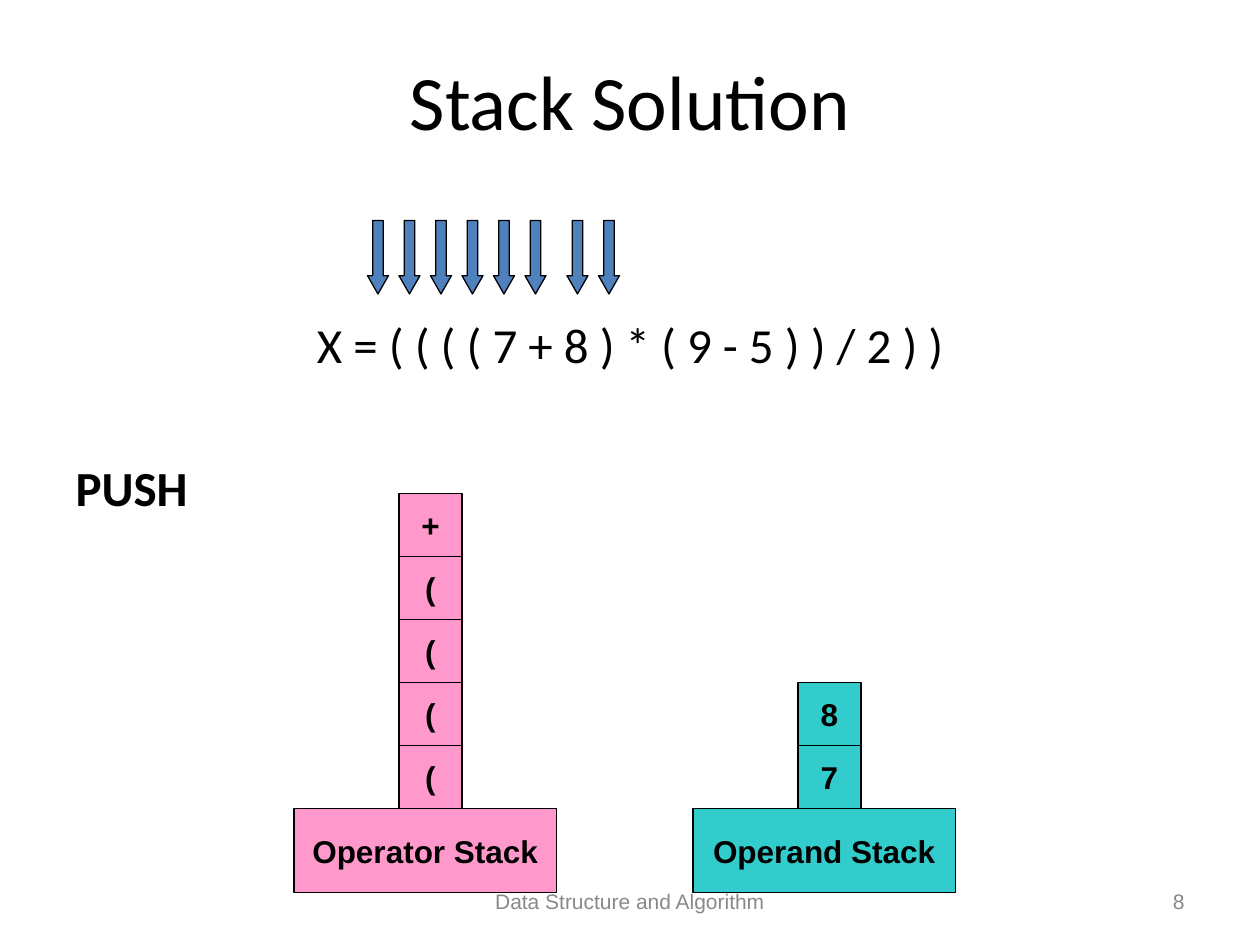
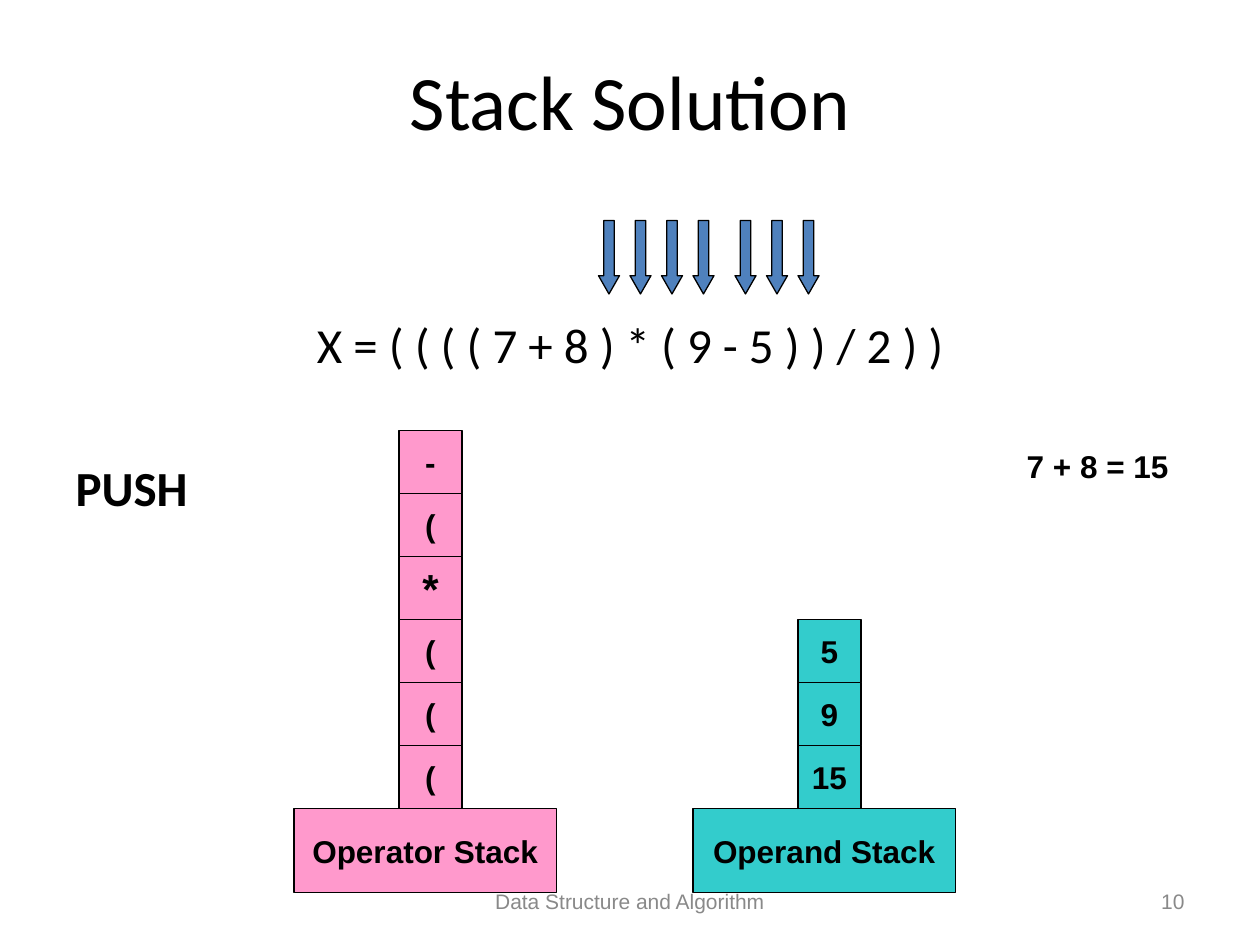
from lxml.etree import SubElement
from pptx import Presentation
from pptx.dml.color import RGBColor
from pptx.enum.shapes import MSO_SHAPE
from pptx.enum.text import MSO_ANCHOR, MSO_AUTO_SIZE, PP_ALIGN
from pptx.oxml.ns import qn
from pptx.util import Inches, Pt

COLORS = {
    "page": "FFFFFF",
    "ink": "000000",
    "muted": "898989",
    "operator": "FF99CC",
    "operand": "33CCCC",
    "arrow": "4F81BD",
}
FONTS = {
    "title": {"name": "Calibri", "size": Pt(44), "bold": False},
    "expression": {"name": "Calibri", "size": Pt(28), "bold": False},
    "action": {"name": "Calibri", "size": Pt(28), "bold": True},
    "label": {"name": "Arial", "size": Pt(18), "bold": True},
    "asterisk": {"name": "Arial", "size": Pt(24), "bold": True},
    "footer": {"name": "Arial", "size": Pt(12), "bold": False},
}
FRAME = {
    "margin_left": Inches(0.1),
    "margin_right": Inches(0.1),
    "margin_top": Inches(0.05),
    "margin_bottom": Inches(0.05),
    "auto_size": MSO_AUTO_SIZE.NONE,
    "word_wrap": True,
    "vertical_anchor": MSO_ANCHOR.MIDDLE,
}
COLUMNS, ROWS = 120, 90
BASE_ROW, BASE_WIDTH, BASE_HEIGHT, CELL = 77, 25, 8, 6
ARROW_ROW, ARROW_WIDTH, ARROW_HEIGHT, ARROW_STEP = 21, 2, 7, 3
EXPRESSION = "X = ( ( ( ( 7 + 8 ) * ( 9 - 5 ) ) / 2 ) )"
STEPS = [
    {
        "number": "8",
        "arrows": [*range(35, 51, ARROW_STEP), 54, 57],
        "operators": "((((+",
        "operands": ["7", "8"],
        "result": None,
    },
    {
        "number": "10",
        "arrows": [*range(57, 67, ARROW_STEP), *range(70, 77, ARROW_STEP)],
        "operators": "(((*(-",
        "operands": ["15", "9", "5"],
        "result": "7 + 8 = 15",
    },
]


def assign(target, values):
    """Set each named attribute of the target."""
    for attribute, value in values.items():
        setattr(target, attribute, value)


class StackDeck:
    """Holds the shared style and the slide being built."""

    def __init__(self):
        """Start an empty 10 by 7.5 inch deck."""
        self.deck = Presentation()
        assign(self.deck, {"slide_width": Inches(10), "slide_height": Inches(7.5)})
        self.slide = None

    def area(self, column, row, width, height):
        """Turn grid units into left, top, width and height."""
        across = self.deck.slide_width / COLUMNS
        down = self.deck.slide_height / ROWS
        return [round(n) for n in (column * across, row * down, width * across, height * down)]

    def place(self, holder, *cells):
        """Move a placeholder onto the grid."""
        assign(holder, dict(zip(("left", "top", "width", "height"), self.area(*cells))))

    def add_words(self, paragraph, text, font, align=PP_ALIGN.CENTER, color="ink"):
        """Put one formatted run into a paragraph."""
        paragraph.alignment = align
        run = paragraph.add_run()
        run.text = text
        assign(run.font, FONTS[font])
        run.font.color.rgb = RGBColor.from_string(COLORS[color])

    def new_slide(self, title):
        """Add a slide with its title."""
        self.slide = self.deck.slides.add_slide(self.deck.slide_layouts[1])
        self.slide.background.fill.solid()
        self.slide.background.fill.fore_color.rgb = RGBColor.from_string(COLORS["page"])
        heading = self.slide.shapes.title
        self.place(heading, 6, 2, 108, 15)
        assign(heading.text_frame, FRAME)
        self.add_words(heading.text_frame.paragraphs[0], title, "title")

    def body(self, expression, action):
        """Put the expression and the stack action in the body placeholder."""
        holder = self.slide.placeholders[1]
        self.place(holder, 6, 22.5, 108, 59.5)
        frame = holder.text_frame
        assign(frame, {**FRAME, "vertical_anchor": MSO_ANCHOR.TOP, "margin_top": Inches(0.62)})
        lines = [
            (frame.paragraphs[0], expression, "expression", PP_ALIGN.CENTER, 0),
            (frame.add_paragraph(), action, "action", PP_ALIGN.LEFT, 48),
        ]
        for paragraph, text, font, align, gap in lines:
            self.add_words(paragraph, text, font, align)
            paragraph.space_before = Pt(gap)
            SubElement(paragraph._p.get_or_add_pPr(), qn("a:buNone"))

    def shape(self, kind, color, *cells):
        """Add an outlined flat shape."""
        figure = self.slide.shapes.add_shape(kind, *self.area(*cells))
        figure.shadow.inherit = False
        figure.fill.solid()
        figure.fill.fore_color.rgb = RGBColor.from_string(COLORS[color])
        figure.line.color.rgb = RGBColor.from_string(COLORS["ink"])
        figure.line.width = Pt(0.75)
        return figure

    def box(self, text, color, *cells):
        """Add a labelled rectangle."""
        block = self.shape(MSO_SHAPE.RECTANGLE, color, *cells)
        assign(block.text_frame, {**FRAME, "word_wrap": False})
        font = "asterisk" if text == "*" else "label"
        self.add_words(block.text_frame.paragraphs[0], text, font)

    def stack(self, name, color, column, cell_column, items):
        """Add a stack base and pile its items upwards."""
        self.box(name, color, column, BASE_ROW, BASE_WIDTH, BASE_HEIGHT)
        for level, item in enumerate(items, 1):
            self.box(item, color, cell_column, BASE_ROW - level * CELL, CELL, CELL)

    def arrows(self, columns):
        """Add a down arrow for each symbol read."""
        for column in columns:
            pointer = self.shape(MSO_SHAPE.DOWN_ARROW, "arrow",
                                 column, ARROW_ROW, ARROW_WIDTH, ARROW_HEIGHT)
            pointer.adjustments[0] = 0.5
            pointer.adjustments[1] = 0.87

    def note(self, text, font, align, color, *cells):
        """Add a plain text box."""
        frame = self.slide.shapes.add_textbox(*self.area(*cells)).text_frame
        assign(frame, FRAME)
        self.add_words(frame.paragraphs[0], text, font, align, color)

    def footer(self, number):
        """Add the course name and the slide number."""
        self.note(number, "footer", PP_ALIGN.RIGHT, "muted", 86, 83.4, 28, 4.8)
        self.note("Data Structure and Algorithm", "footer", PP_ALIGN.CENTER, "muted",
                  41, 83.4, 38, 4.8)


def main():
    """Build and save the slides."""
    show = StackDeck()
    for step in STEPS:
        show.new_slide("Stack Solution")
        show.body(EXPRESSION, "PUSH")
        show.stack("Operand Stack", "operand", 66, 76, step["operands"])
        show.stack("Operator Stack", "operator", 28, 38, step["operators"])
        show.arrows(step["arrows"])
        if step["result"]:
            show.note(step["result"], "label", PP_ALIGN.LEFT, "ink", 96.6, 42, 16.4, 4.8)
        show.footer(step["number"])
    show.deck.save("out.pptx")


if __name__ == "__main__":
    main()
